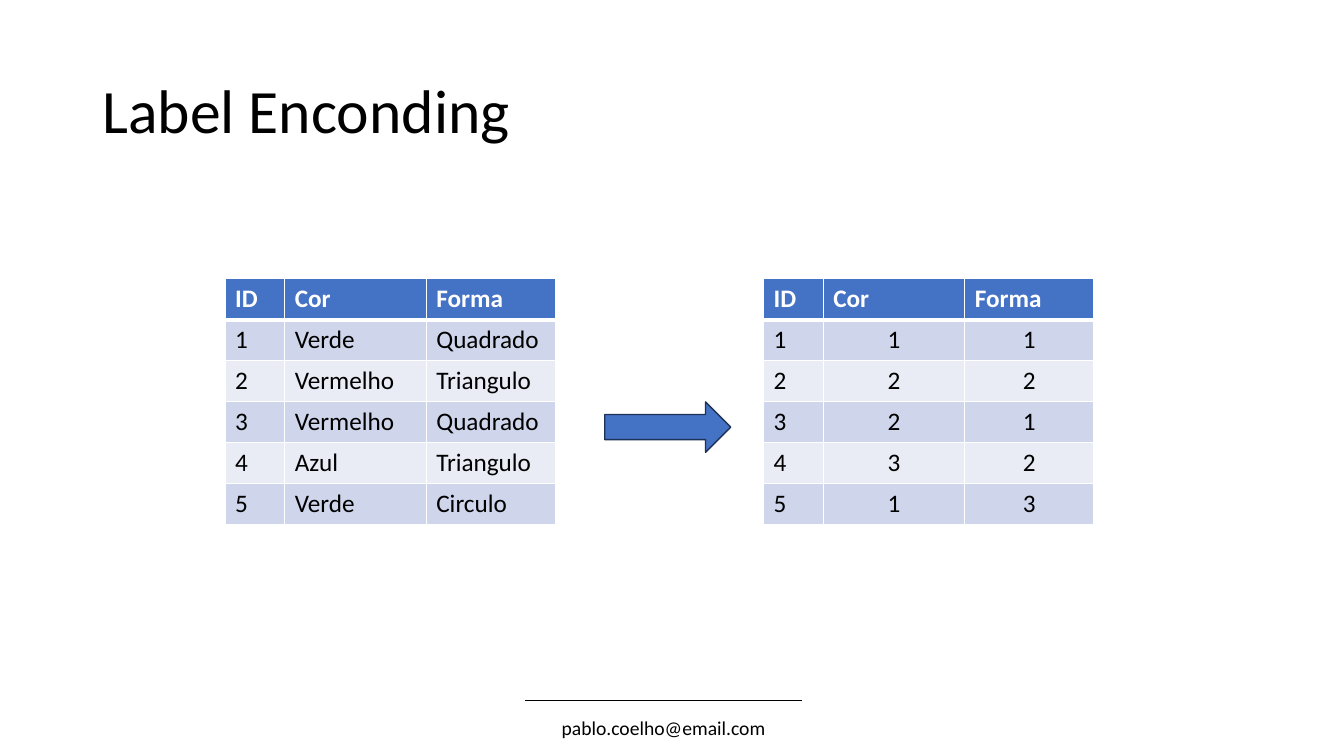
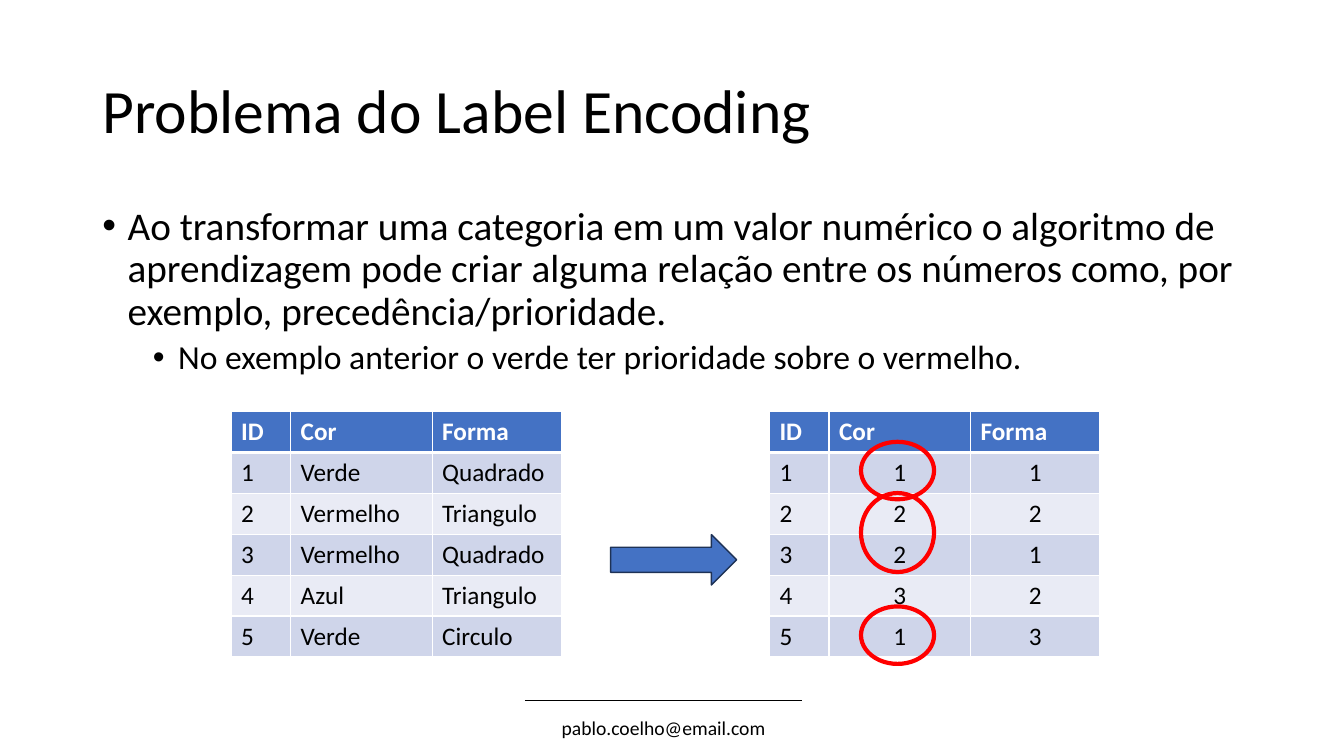
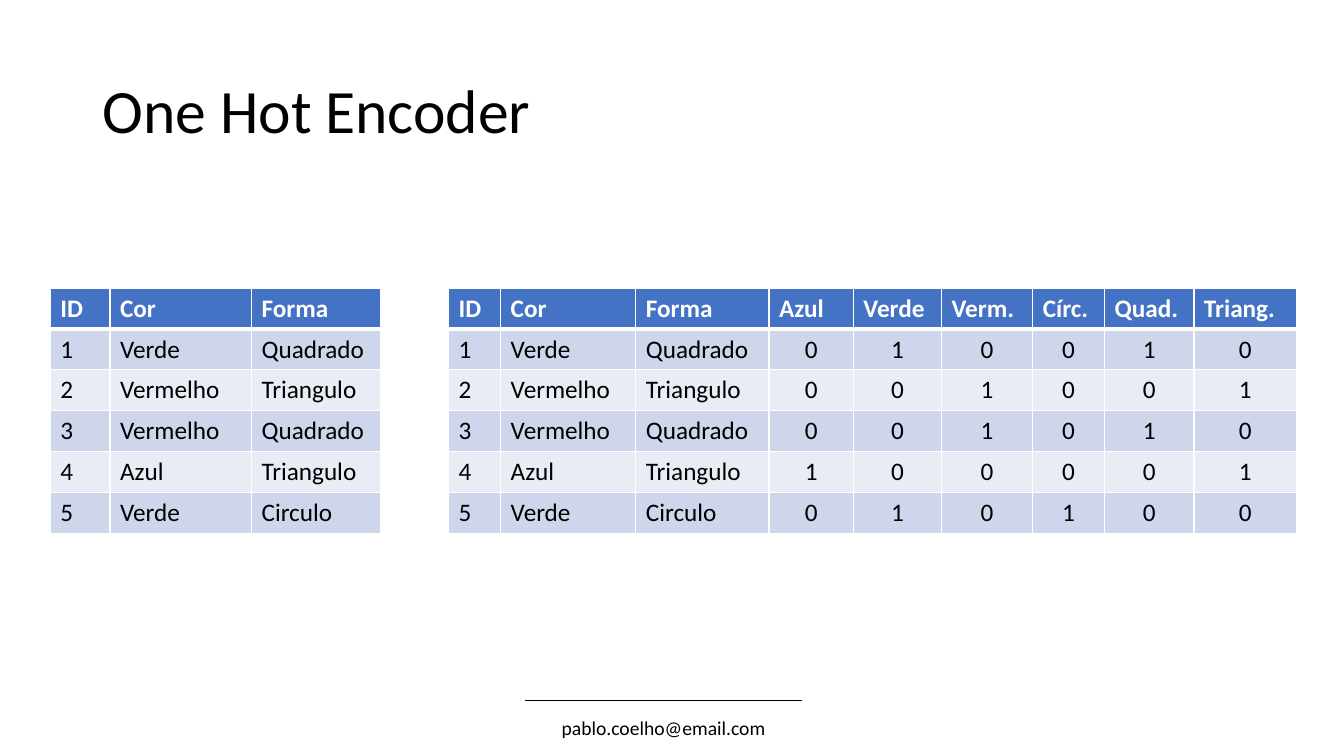
from lxml import etree
from pptx import Presentation
from pptx import util as u
from pptx.dml import color
from pptx.enum import shapes, text
from pptx.oxml import ns

COLS, ROWS = 160, 90
COLORS = {"ink": "000000", "paper": "FFFFFF", "head": "4472C4",
          "odd": "CFD5EA", "even": "E9EBF5", "edge": "1E3256", "mark": "FF0000"}
ALIGN = text.PP_ALIGN
WIDTHS = [7.1, 16.85, 15.4]
ROW = 4.87

HEADS = ["ID", "Cor", "Forma"]
ITEMS = [("Verde", "Quadrado"), ("Vermelho", "Triangulo"),
         ("Vermelho", "Quadrado"), ("Azul", "Triangulo"), ("Verde", "Circulo")]


def rgb(name):
    return color.RGBColor.from_string(COLORS[name])


def put(obj, **vals):
    for key, val in vals.items():
        setattr(obj, key, val)


def sub(node, tag, **attrs):
    return etree.SubElement(node, ns.qn(tag), **attrs)


class Deck:
    def __init__(self):
        self.prs = Presentation()
        put(self.prs, slide_width=u.Inches(13.33), slide_height=u.Inches(7.5))
        self.slide = None

    def x(self, cols):
        return round(self.prs.slide_width * cols / COLS)

    def y(self, rows):
        return round(self.prs.slide_height * rows / ROWS)

    def box(self, left, top, width, height):
        return self.x(left), self.y(top), self.x(width), self.y(height)

    def place(self, shape, *area):
        put(shape, **dict(zip(("left", "top", "width", "height"), self.box(*area))))

    def label(self, par, words, size, ink="ink", bold=False, **form):
        run = par.add_run()
        run.text = words
        put(run.font, name="Calibri", size=u.Pt(size), bold=bold)
        run.font.color.rgb = rgb(ink)
        put(par, **form)

    def page(self, title, layout=5):
        """Start a slide with its title and the shared footer."""
        self.slide = self.prs.slides.add_slide(self.prs.slide_layouts[layout])
        self.foot()
        head = self.slide.shapes.title
        self.place(head, 11, 4.8, 138, 17.4)
        put(head.text_frame, vertical_anchor=text.MSO_ANCHOR.MIDDLE,
            auto_size=text.MSO_AUTO_SIZE.NONE)
        self.label(head.text_frame.paragraphs[0], title, 44,
                   alignment=ALIGN.LEFT, line_spacing=0.9)

    def foot(self):
        rule = self.slide.shapes.add_connector(
            shapes.MSO_CONNECTOR.STRAIGHT,
            self.x(62.5), self.y(83.4), self.x(95.5), self.y(83.4))
        rule.line.color.rgb = rgb("ink")
        rule.line.width = u.Pt(0.5)
        sub(rule.element.spPr, "a:effectLst")
        mail = self.slide.shapes.add_textbox(*self.box(62.5, 84.6, 33, 4.1))
        mail.text_frame.word_wrap = True
        self.label(mail.text_frame.paragraphs[0], "pablo.coelho@email.com", 14,
                   alignment=ALIGN.CENTER)

    def bullets(self, items):
        body = self.slide.placeholders[1]
        self.place(body, 11, 24, 138, 57.1)
        frame = body.text_frame
        frame.auto_size = text.MSO_AUTO_SIZE.NONE
        for i, (level, words) in enumerate(items):
            par = frame.add_paragraph() if i else frame.paragraphs[0]
            self.label(par, words, 28 - 4 * level, level=level, line_spacing=0.9,
                       space_before=u.Pt(5 if level else 10))
            props = par._p.get_or_add_pPr()
            props.set("marL", str(u.Inches(0.25 + 0.5 * level)))
            props.set("indent", str(u.Inches(-0.25)))
            sub(props, "a:buFont", typeface="Arial")
            sub(props, "a:buChar", char="•")

    def table(self, left, top, rows, widths=WIDTHS):
        area = self.box(left, top, sum(widths), ROW * len(rows))
        grid = self.slide.shapes.add_table(len(rows), len(widths), *area).table
        for col, width in zip(grid.columns, widths):
            col.width = self.x(width)
        for i, row in enumerate(rows):
            grid.rows[i].height = self.y(ROW)
            for j, value in enumerate(row):
                self.cell(grid.cell(i, j), value, i, j)

    def cell(self, cell, value, i, j):
        props = cell._tc.get_or_add_tcPr()
        thick = {"T": i == 1, "B": i == 0}
        for side in "LRTB":
            width = u.Pt(3 if thick.get(side) else 1)
            line = sub(props, f"a:ln{side}", w=str(width))
            sub(sub(line, "a:solidFill"), "a:srgbClr", val=COLORS["paper"])
        cell.fill.solid()
        cell.fill.fore_color.rgb = rgb("odd" if i % 2 else "even" if i else "head")
        center = j > 0 and isinstance(value, int)
        self.label(cell.text_frame.paragraphs[0], str(value), 18,
                   "ink" if i else "paper", not i,
                   alignment=ALIGN.CENTER if center else ALIGN.LEFT)

    def shape(self, kind, area, line, width, fill=None):
        shape = self.slide.shapes.add_shape(kind, *self.box(*area))
        shape.shadow.inherit = False
        if fill:
            shape.fill.solid()
            shape.fill.fore_color.rgb = rgb(fill)
        else:
            shape.fill.background()
        shape.line.color.rgb = rgb(line)
        shape.line.width = u.Pt(width)

    def pair(self, left, top):
        """Words table, arrow, and table of label codes."""
        self.table(left, top, plain())
        self.table(left + 64.1, top, coded())
        self.shape(shapes.MSO_SHAPE.RIGHT_ARROW,
                   (left + 45.2, top + 14.65, 15, 6), "edge", 1, "head")


def plain():
    return [HEADS] + [[i, *item] for i, item in enumerate(ITEMS, 1)]


def coded():
    """Number each label in order of first appearance."""
    labels = [list(dict.fromkeys(col)) for col in zip(*ITEMS)]
    return [HEADS] + [
        [i] + [seen.index(word) + 1 for seen, word in zip(labels, item)]
        for i, item in enumerate(ITEMS, 1)]


def one_hot():
    """Add a 0/1 column for each label, sorted within its group."""
    labels = [word for col in zip(*ITEMS) for word in sorted(set(col))]
    heads = ["Azul", "Verde", "Verm.", "Círc.", "Quad.", "Triang."]
    rows = [row + [int(word in row) for word in labels] for row in plain()[1:]]
    return [HEADS + heads] + rows


def main():
    deck = Deck()

    deck.page("Label Enconding")
    deck.pair(26.8, 33.2)

    deck.page("Problema do Label Encoding", layout=1)
    deck.bullets([
        (0, "Ao transformar uma categoria em um valor numérico o algoritmo de "
            "aprendizagem pode criar alguma relação entre os números como, por "
            "exemplo, precedência/prioridade."),
        (1, "No exemplo anterior o verde ter prioridade sobre o vermelho.")])
    deck.pair(27.5, 49)
    for top, height in ((52.6, 6.84), (58.7, 9.4), (72.2, 6.84)):
        deck.shape(shapes.MSO_SHAPE.OVAL, (102.5, top, 8.7, height), "mark", 3)

    deck.page("One Hot Encoder")
    deck.table(6, 34.3, plain())
    deck.table(53.4, 34.3, one_hot(),
               [6.2, 16.1, 15.85, 10.05, 10.5, 10.85, 8.55, 10.65, 12.2])

    deck.prs.save("out.pptx")


if __name__ == "__main__":
    main()
